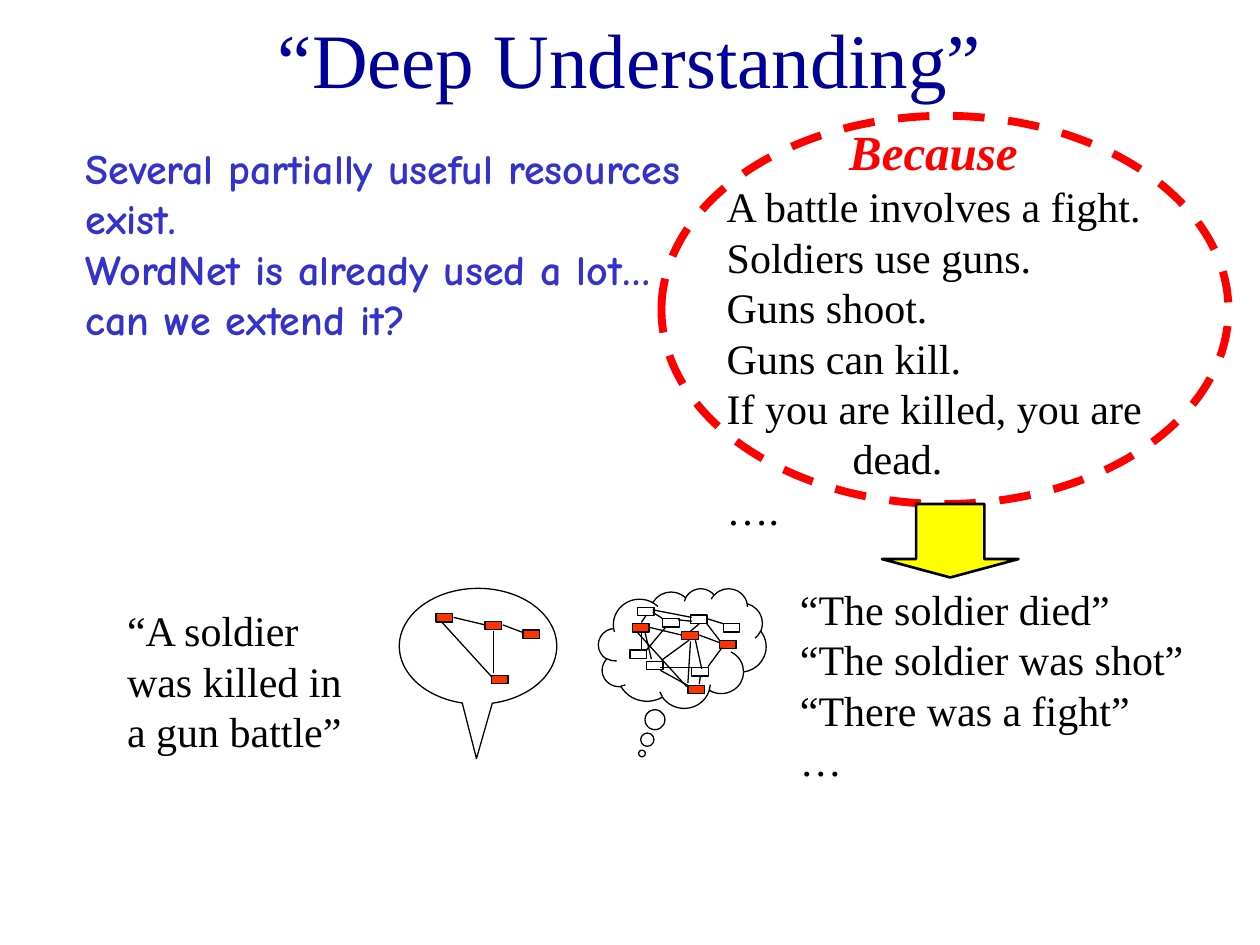
from typing import NamedTuple, Optional

from pptx import Presentation
from pptx.dml.color import RGBColor
from pptx.enum.dml import MSO_LINE
from pptx.enum.shapes import MSO_CONNECTOR, MSO_SHAPE
from pptx.enum.text import MSO_ANCHOR, PP_ALIGN
from pptx.oxml.ns import qn
from pptx.util import Pt

NAVY = RGBColor(0x00, 0x00, 0x99)
BLUE = RGBColor(0x33, 0x33, 0xCC)
RED = RGBColor(0xFF, 0x00, 0x00)
ORANGE = RGBColor(0xFF, 0x33, 0x00)
YELLOW = RGBColor(0xFF, 0xFF, 0x00)
WHITE = RGBColor(0xFF, 0xFF, 0xFF)
BLACK = RGBColor(0x00, 0x00, 0x00)
SERIF = "Times New Roman"
COMIC = "Comic Neue"
NODE_W, NODE_H = 9.5, 4.8


class Box(NamedTuple):
    left: float
    top: float
    width: float
    height: float


class Para(NamedTuple):
    text: str
    size: float = 24
    color: RGBColor = BLACK
    font: str = SERIF
    bold: bool = False
    slant: bool = False
    indent: float = 0


class Node(NamedTuple):
    left: float
    top: float
    fill: RGBColor = WHITE


class Link(NamedTuple):
    x1: float
    y1: float
    x2: float
    y2: float


class Graph(NamedTuple):
    nodes: list[Node]
    links: list[Link]
    kind: MSO_SHAPE
    bubble: Box
    tail: tuple[float, float]


SPEECH = Graph(
    [
        Node(249.1, 350.6, ORANGE), Node(277.2, 355, ORANGE),
        Node(298.8, 360, ORANGE), Node(280.8, 385.9, ORANGE),
    ],
    [
        Link(259.2, 352.8, 277.2, 357.1), Link(287.3, 357.1, 298.8, 361.4),
        Link(282.2, 384.5, 282.2, 360.7), Link(280.8, 386.6, 252, 355),
    ],
    MSO_SHAPE.OVAL_CALLOUT, Box(228.2, 336.2, 90, 66.2), (-0.01, 0.97),
)

THOUGHT = Graph(
    [
        Node(361.4, 356.4, ORANGE), Node(364.3, 347), Node(394.6, 351.4),
        Node(389.5, 360.7, ORANGE), Node(411.1, 365.8, ORANGE),
        Node(413.3, 356.4), Node(360, 371.5), Node(369.4, 378),
        Node(378.7, 353.5), Node(393.1, 391.7, ORANGE), Node(395.3, 381.6),
    ],
    [
        Link(403.9, 356.4, 411.1, 365.8), Link(403.9, 353.5, 413.3, 356.4),
        Link(399.6, 356.4, 394.6, 360.7), Link(377.3, 383, 393.1, 391.7),
        Link(377.3, 381.6, 395.3, 381.6), Link(372.2, 376.6, 368.6, 361.4),
        Link(366.5, 371.5, 366.5, 360.7), Link(366.5, 355.7, 369.4, 351.4),
        Link(380.2, 358.6, 369.4, 371.5), Link(378, 377.3, 393.8, 365.8),
        Link(412.6, 370.1, 404.6, 380.9), Link(401, 382.3, 397.4, 365.8),
        Link(399.6, 391, 400.3, 385.9), Link(371.5, 358.6, 389.5, 362.9),
        Link(399.6, 362.9, 411.1, 367.2), Link(393.1, 390.2, 394.6, 366.5),
        Link(392.4, 392.4, 363.6, 360.7), Link(373, 348.5, 395.3, 352.8),
        Link(373, 349.9, 378.7, 353.5), Link(387.4, 354.2, 395.3, 355),
    ],
    MSO_SHAPE.CLOUD_CALLOUT, Box(342, 336.2, 95.8, 68.4), (-0.24, 0.88),
)


def add_text(slide, box: Box, paras: list[Para],
             align=PP_ALIGN.LEFT, anchor=MSO_ANCHOR.TOP) -> None:
    frame = slide.shapes.add_textbox(*map(Pt, box)).text_frame
    frame.word_wrap = True
    frame.vertical_anchor = anchor
    for i, para in enumerate(paras):
        line = frame.add_paragraph() if i else frame.paragraphs[0]
        line.text = para.text
        line.alignment = align
        if para.indent:
            line._p.get_or_add_pPr().set("marL", str(Pt(para.indent)))
        font = line.font
        font.name, font.size = para.font, Pt(para.size)
        font.bold, font.italic = para.bold, para.slant
        font.color.rgb = para.color


def add_shape(slide, kind: MSO_SHAPE, box: Box, fill: Optional[RGBColor] = None,
              color: RGBColor = BLACK, width: float = 0.75):
    shape = slide.shapes.add_shape(kind, *map(Pt, box))
    shape.shadow.inherit = False
    if fill is None:
        shape.fill.background()
    else:
        shape.fill.solid()
        shape.fill.fore_color.rgb = fill
    shape.line.color.rgb = color
    shape.line.width = Pt(width)
    return shape


def add_link(slide, link: Link) -> None:
    line = slide.shapes.add_connector(MSO_CONNECTOR.STRAIGHT, *map(Pt, link))
    line.line.color.rgb = BLACK
    line.line.width = Pt(0.75)
    props = line._element.spPr
    props.append(props.makeelement(qn("a:effectLst"), {}))


def add_graph(slide, graph: Graph) -> None:
    """Draw linked nodes inside a callout bubble."""
    for node in graph.nodes:
        box = Box(node.left, node.top, NODE_W, NODE_H)
        add_shape(slide, MSO_SHAPE.RECTANGLE, box, node.fill)
    for link in graph.links:
        add_link(slide, link)
    bubble = add_shape(slide, graph.kind, graph.bubble)
    for i, value in enumerate(graph.tail):
        bubble.adjustments[i] = value


def main() -> None:
    deck = Presentation()
    deck.slide_width, deck.slide_height = Pt(720), Pt(540)
    slide = deck.slides.add_slide(deck.slide_layouts[6])

    add_text(slide, Box(54, -12.2, 612, 90),
             [Para("“Deep Understanding”", 44, NAVY)],
             PP_ALIGN.CENTER, MSO_ANCHOR.MIDDLE)
    add_graph(slide, THOUGHT)
    add_graph(slide, SPEECH)
    add_text(slide, Box(65.5, 342, 144.7, 93.6),
             [Para("“A soldier was killed in a gun battle”")])
    add_text(slide, Box(450, 329.8, 270, 122.4), [
        Para("“The soldier died”"),
        Para("“The soldier was shot”"),
        Para("“There was a fight”"),
        Para("…"),
    ])
    add_text(slide, Box(408.2, 66.2, 318.2, 242.6), [
        Para("Because", 28, RED, bold=True, slant=True, indent=70),
        Para("A battle involves a fight."),
        Para("Soldiers use guns."),
        Para("Guns shoot."),
        Para("Guns can kill."),
        Para("If you are killed, you are"),
        Para("dead.", indent=72),
        Para("…."),
    ])
    ring = add_shape(slide, MSO_SHAPE.OVAL, Box(378, 66.2, 324, 221.8),
                     color=RED, width=4.5)
    ring.line.dash_style = MSO_LINE.DASH
    arrow = add_shape(slide, MSO_SHAPE.DOWN_ARROW, Box(504, 288, 78, 42),
                      YELLOW, width=1.5)
    arrow.adjustments[0], arrow.adjustments[1] = 0.5, 0.25
    add_text(slide, Box(41.8, 77.8, 372.2, 122.4), [
        Para(text, color=BLUE, font=COMIC, bold=True) for text in (
            "Several partially useful resources exist.",
            "WordNet is already used a lot…can we extend it?",
        )
    ])
    deck.save("out.pptx")


if __name__ == "__main__":
    main()
